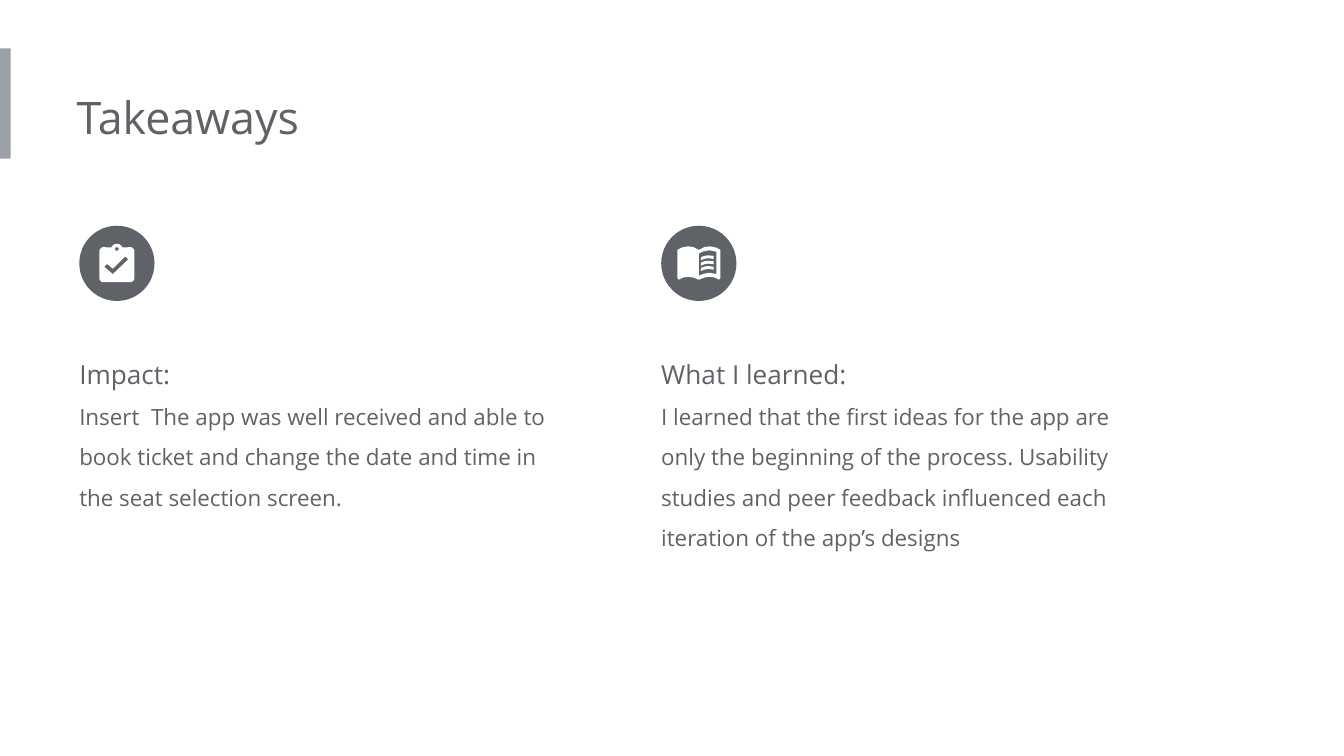
from math import cos, radians, sin

from pptx import Presentation
from pptx.dml.color import RGBColor
from pptx.enum.shapes import MSO_SHAPE as Shape
from pptx.enum.text import MSO_ANCHOR as Anchor, MSO_AUTO_SIZE as AutoSize, PP_ALIGN as Align
from pptx.util import Inches, Pt

FONT = "Open Sans"
GREY, BAR_GREY, WHITE = "5F6368", "9AA0A6", "FFFFFF"
ICON_SIZE = 0.56
UNITS_PER_INCH = 1000  # icon outlines are in thousandths of an inch


def paint(shape, color):
    shape.shadow.inherit = False
    shape.fill.solid()
    shape.fill.fore_color.rgb = RGBColor.from_string(color)
    shape.line.fill.background()


def write(text_frame, lines, line_spacing):
    """Fill a frame with one paragraph per (text, size) pair."""
    text_frame.word_wrap = True
    text_frame.auto_size = AutoSize.SHAPE_TO_FIT_TEXT
    text_frame.vertical_anchor = Anchor.TOP
    text_frame.margin_left = 0
    text_frame.margin_top = text_frame.margin_right = text_frame.margin_bottom = Inches(0.1)
    text_frame.text = "\n".join(text for text, _ in lines)
    for paragraph, (_, size) in zip(text_frame.paragraphs, lines):
        paragraph.alignment = Align.LEFT
        paragraph.line_spacing = line_spacing
        paragraph.space_before = Pt(0)
        for run in paragraph.runs:
            run.font.name = FONT
            run.font.size = Pt(size)
            run.font.color.rgb = RGBColor.from_string(GREY)


def arc(center_x, center_y, radius, start, end):
    steps = 12
    angles = [radians(start + (end - start) * step / steps) for step in range(steps + 1)]
    return [(center_x + radius * cos(a), center_y + radius * sin(a)) for a in angles]


def add_outline(shapes, left, top, contours):
    """Draw one white freeform; contours after the first are holes."""
    first, *holes = contours
    builder = shapes.build_freeform(*first[0], scale=Inches(1) / UNITS_PER_INCH)
    builder.add_line_segments(first[1:], close=True)
    for hole in holes:
        builder.move_to(*hole[0])
        builder.add_line_segments(hole[1:], close=True)
    paint(builder.convert_to_shape(Inches(left), Inches(top)), WHITE)


def add_clipboard(slide, left, top):
    board = (arc(380, 190, 30, -90, 0) + arc(380, 390, 30, 0, 90)
             + arc(180, 390, 30, 90, 180) + arc(180, 190, 30, 180, 270)
             + arc(280, 180, 45, 205, 335))
    clip_hole = arc(280, 173, 14, 0, 360)
    check = [(250, 360), (185, 305), (208, 285), (250, 320), (343, 228), (365, 250)]
    add_outline(slide.shapes, left, top, [board, clip_hole, check])


def add_book(slide, left, top):
    cover = [(120, 180), (150, 163), (200, 153), (240, 159), (280, 180), (320, 159),
             (360, 153), (410, 163), (440, 180), (440, 390), (430, 402), (395, 385),
             (360, 380), (320, 386), (280, 402), (240, 386), (200, 380), (165, 385),
             (130, 402), (120, 390)]
    page = [(280, 208), (310, 192), (360, 183), (410, 193), (410, 360), (360, 350),
            (320, 356), (280, 372)]
    text_line = [(295, 15), (320, 5), (350, 0), (390, 5), (390, 27), (350, 22),
                 (320, 27), (295, 37)]
    group = slide.shapes.add_group_shape()
    add_outline(group.shapes, left, top, [cover, page])
    for offset in (220, 260, 300):
        add_outline(group.shapes, left, top, [[(x, y + offset) for x, y in text_line]])


def add_title(slide, left, top, width, height):
    bar = slide.shapes.add_shape(Shape.RECTANGLE, 0, Inches(0.36), Inches(0.08), Inches(0.82))
    paint(bar, BAR_GREY)
    title = slide.shapes.title
    title.left, title.top = Inches(left), Inches(top)
    title.width, title.height = Inches(width), Inches(height)
    write(title.text_frame, [("Takeaways", 24)], 1)


def add_takeaway(slide, left, top, width, add_icon, heading, body):
    circle = slide.shapes.add_shape(Shape.OVAL, Inches(left), Inches(top),
                                    Inches(ICON_SIZE), Inches(ICON_SIZE))
    paint(circle, GREY)
    add_icon(slide, left, top)
    text_box = slide.shapes.add_textbox(Inches(left), Inches(top + 0.77),
                                        Inches(width), Inches(1.77))
    write(text_box.text_frame, [(heading, 14), (body, 12)], 1.5)


def main():
    presentation = Presentation()
    presentation.slide_width = Inches(10)
    presentation.slide_height = presentation.slide_width * 9 // 16
    slide = presentation.slides.add_slide(presentation.slide_layouts[5])
    add_title(slide, 0.57, 0.57, 5.39, 0.61)
    takeaways = [
        (add_clipboard, "Impact:",
         "Insert  The app was well received and able to book ticket and change the date "
         "and time in the seat selection screen."),
        (add_book, "What I learned:",
         "I learned that the first ideas for the app are only the beginning of the process. "
         "Usability studies and peer feedback influenced each iteration of the app’s designs"),
    ]
    for column, takeaway in enumerate(takeaways):
        add_takeaway(slide, 0.59 + 4.33 * column, 1.68, 3.77, *takeaway)
    presentation.save("out.pptx")


if __name__ == "__main__":
    main()
